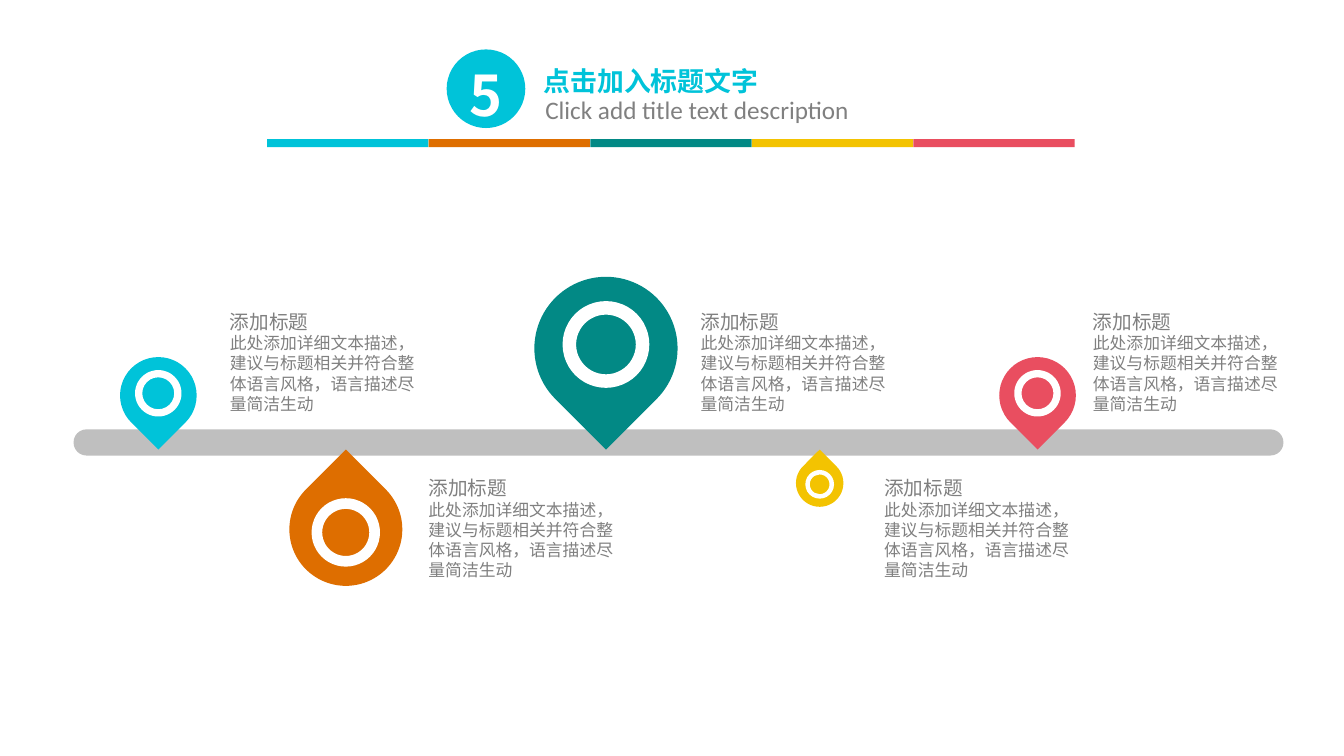
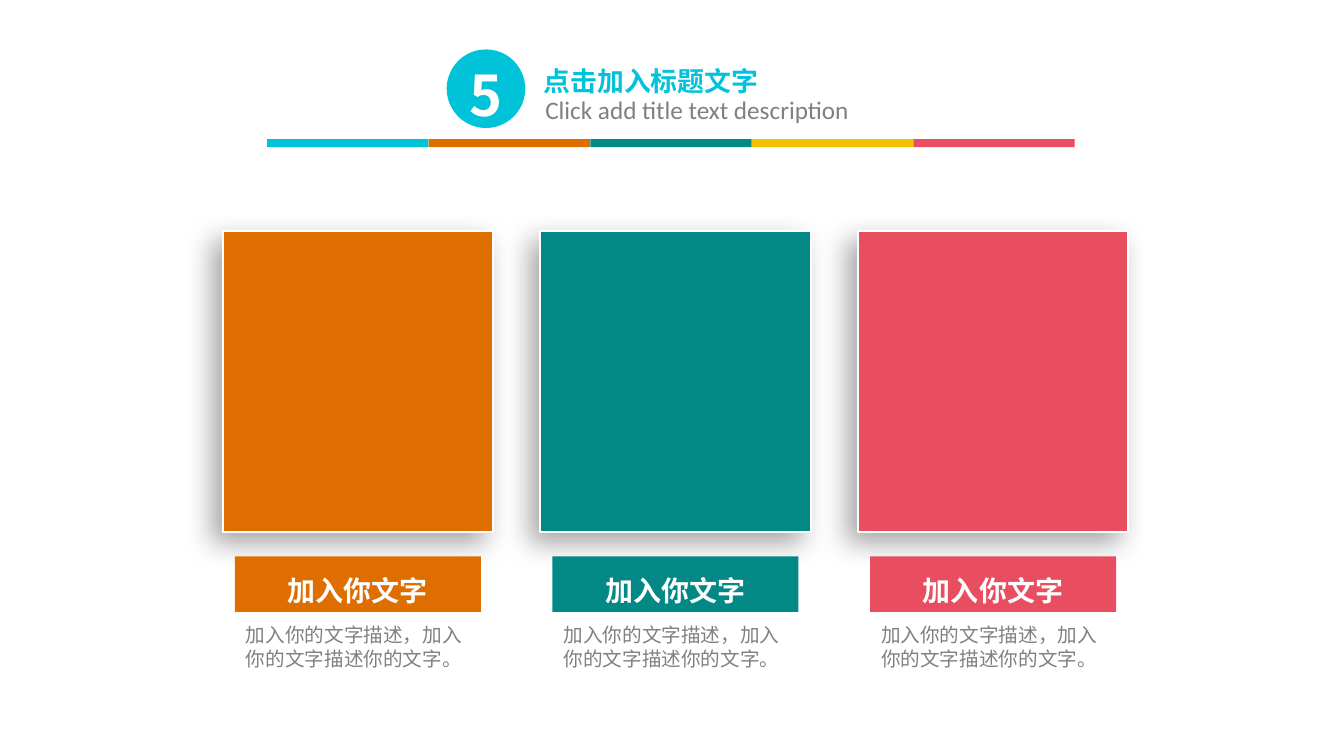
from math import sqrt

from lxml.etree import SubElement
from pptx import Presentation
from pptx.dml.color import RGBColor
from pptx.enum.shapes import MSO_SHAPE
from pptx.enum.text import MSO_ANCHOR, PP_ALIGN
from pptx.oxml.ns import qn
from pptx.util import Inches, Pt

# Shared style
CYAN = RGBColor(0x00, 0xC3, 0xD9)
ORANGE = RGBColor(0xDE, 0x6E, 0x00)
TEAL = RGBColor(0x02, 0x89, 0x85)
YELLOW = RGBColor(0xF3, 0xC3, 0x01)
RED = RGBColor(0xE9, 0x4E, 0x60)
GREY = RGBColor(0x80, 0x80, 0x80)
SILVER = RGBColor(0xBF, 0xBF, 0xBF)
WHITE = RGBColor(0xFF, 0xFF, 0xFF)
BANDS = [CYAN, ORANGE, TEAL, YELLOW, RED]
HAN = "Noto Sans CJK SC"
LATIN = "Calibri"

# Timeline: pin centre, size, colour, above the bar, label left
TIP = 4.46
PINS = [
    (1.57, 0.76, CYAN, True, 2.21),
    (6.01, 1.42, TEAL, True, 6.88),
    (3.43, 1.12, ORANGE, False, 4.18),
    (8.13, 0.47, YELLOW, False, 8.7),
    (10.29, 0.76, RED, True, 10.77),
]
LABEL = "添加标题"
DETAIL = "此处添加详细文本描述，建议与标题相关并符合整体语言风格，语言描述尽量简洁生动"

# Cards
CARDS = [ORANGE, TEAL, RED]
LEFT = 2.21
STEP = 3.15
NAME = "加入你文字"
NOTE = "加入你的文字描述，加入你的文字描述你的文字。"


def style(para, size, color, face=HAN, bold=False, lead=1.2):
    """Format the runs of a paragraph; lead is line height over size."""
    para.line_spacing = Pt(size * lead)
    for run in para.runs:
        font = run.font
        font.size, font.bold, font.name = Pt(size), bold, face
        font.color.rgb = color
        SubElement(font._element, qn("a:ea"), typeface=face)


def shape(shapes, kind, x, y, w, h, fill, turn=0):
    item = shapes.add_shape(kind, Inches(x), Inches(y), Inches(w), Inches(h))
    item.shadow.inherit = False
    item.fill.solid()
    item.fill.fore_color.rgb = fill
    item.line.fill.background()
    item.rotation = turn
    return item


def text(shapes, x, y, w, h, words, pad=(0.1, 0.05)):
    """Add a wrapping text box and return its paragraphs."""
    box = shapes.add_textbox(Inches(x), Inches(y), Inches(w), Inches(h))
    frame = box.text_frame
    frame.word_wrap = True
    frame.margin_left = frame.margin_right = Inches(pad[0])
    frame.margin_top = frame.margin_bottom = Inches(pad[1])
    frame.text = words
    return frame.paragraphs


def header(slide):
    # Numbered badge and title
    group = slide.shapes.add_group_shape().shapes
    badge = shape(group, MSO_SHAPE.OVAL, 4.43, 0.49, 0.78, 0.78, CYAN)
    frame = badge.text_frame
    frame.text = "5"
    frame.vertical_anchor = MSO_ANCHOR.MIDDLE
    frame.paragraphs[0].alignment = PP_ALIGN.CENTER
    style(frame.paragraphs[0], 40, WHITE, bold=True, lead=1.4)

    title = text(group, 5.31, 0.5, 2.88, 0.48, "点击加入标题文字", (0.08, 0.04))[0]
    style(title, 24, CYAN, bold=True, lead=1.3)
    title.runs[0].font._element.set("cap", "small")
    sub = text(group, 5.31, 0.89, 3.36, 0.4, "Click add title text description")[0]
    style(sub, 18, GREY, LATIN)

    # Colour bands
    group = slide.shapes.add_group_shape().shapes
    for i, color in enumerate(BANDS):
        shape(group, MSO_SHAPE.RECTANGLE, 2.65 + i * 1.6025, 1.38, 1.6, 0.08, color)


def pin(slide, mid, size, color, above):
    """Draw a map pin whose point touches the timeline."""
    side = -1 if above else 1
    hub = TIP + side * size / sqrt(2)
    eye = hub + side * 0.027 * size
    ring = 0.606 * size
    group = slide.shapes.add_group_shape().shapes
    shape(group, MSO_SHAPE.TEAR, mid - size / 2, hub - size / 2,
          size, size, color, 135 if above else 315)
    donut = shape(group, MSO_SHAPE.DONUT, mid - ring / 2, eye - ring / 2,
                  ring, ring, WHITE)
    donut.adjustments[0] = 0.156


def label(slide, x, y):
    head, body = text(slide.shapes, x, y, 2.07, 1.12,
                      LABEL + "\n" + DETAIL, (0.07, 0.04))
    style(head, 14, GREY)
    style(body, 12, GREY)


def shade(item):
    """Give a shape a soft shadow to the lower left."""
    props = item._element.spPr
    effects = props.find(qn("a:effectLst"))
    shadow = SubElement(effects, qn("a:outerShdw"), blurRad=str(Pt(20)),
                        dist=str(Pt(10)), dir=str(136 * 60000),
                        algn="ctr", rotWithShape="0")
    color = SubElement(shadow, qn("a:srgbClr"), val="000000")
    SubElement(color, qn("a:alpha"), val="34000")


def card(slide, x, color):
    shapes = slide.shapes
    panel = shape(shapes, MSO_SHAPE.RECTANGLE, x, 2.29, 2.68, 2.99, color)
    panel.line.color.rgb = WHITE
    panel.line.width = Pt(1.5)
    shade(panel)
    shape(shapes, MSO_SHAPE.RECTANGLE, x + 0.12, 5.52, 2.44, 0.55, color)
    name = text(shapes, x + 0.35, 5.66, 1.98, 0.28, NAME, (0.1, 0))[0]
    name.alignment = PP_ALIGN.CENTER
    style(name, 20, WHITE, bold=True, lead=1.3)
    note = text(shapes, x + 0.13, 6.18, 2.35, 0.39, NOTE, (0.1, 0))[0]
    style(note, 14, GREY)


def main():
    deck = Presentation()
    deck.slide_width, deck.slide_height = Inches(13.33), Inches(7.5)
    blank = deck.slide_layouts[6]

    # Timeline slide
    slide = deck.slides.add_slide(blank)
    header(slide)
    bar = shape(slide.shapes, MSO_SHAPE.ROUNDED_RECTANGLE, 0.73, 4.26, 12, 0.26, SILVER)
    bar.adjustments[0] = 0.494
    for mid, size, color, above, x in PINS:
        pin(slide, mid, size, color, above)
        label(slide, x, 3.03 if above else 4.68)

    # Card slide
    slide = deck.slides.add_slide(blank)
    header(slide)
    for i, color in enumerate(CARDS):
        card(slide, LEFT + i * STEP, color)

    deck.save("out.pptx")


if __name__ == "__main__":
    main()
